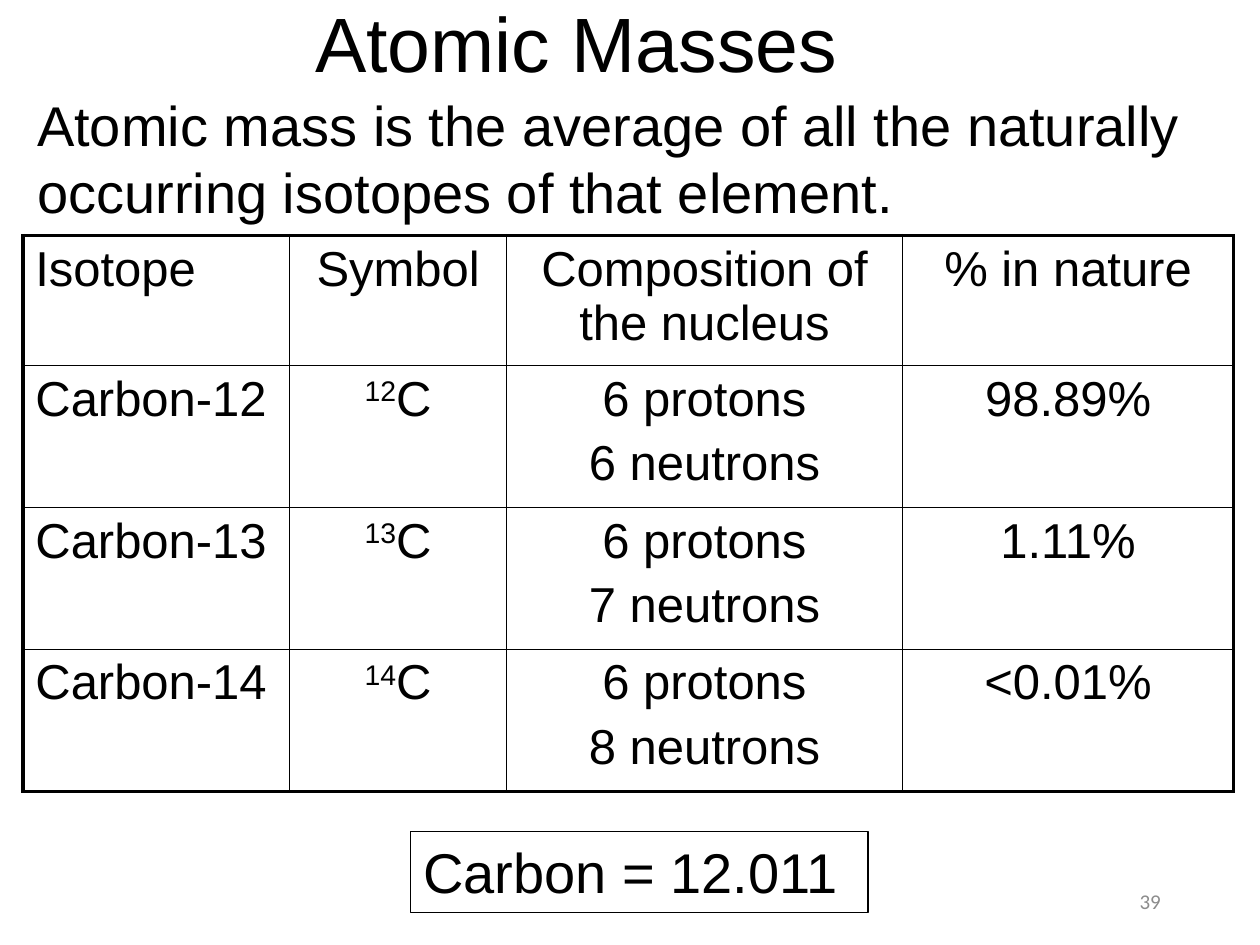
from lxml.etree import SubElement
from pptx import Presentation
from pptx.dml.color import RGBColor
from pptx.enum.shapes import MSO_SHAPE
from pptx.enum.text import MSO_ANCHOR, PP_ALIGN
from pptx.oxml.ns import qn
from pptx.util import Cm, Pt

COLORS = {"ink": "000000", "page_number": "8C8C8C"}
COLUMN_WIDTHS = [5.38, 4.37, 7.98, 6.68]
ROW_HEIGHTS = [2.62, 2.86, 2.86, 2.86]
HEADINGS = ["Isotope", "Symbol", "Composition of the nucleus", "% in nature"]
ISOTOPES = [(12, 6, "98.89%"), (13, 7, "1.11%"), (14, 8, "<0.01%")]


def apply_format(target, values):
    """Set every attribute named in values on target."""
    for name, value in values.items():
        setattr(target, name, value)


def write_paragraph(paragraph, text, size, mass_number="", color="ink", font="Arial", **layout):
    """Write text, led by an optional raised mass number, into a paragraph."""
    apply_format(paragraph, layout)
    for part, raised in ((mass_number, True), (text, False)):
        if part:
            run = paragraph.add_run()
            run.text = part
            apply_format(run.font, {"size": Pt(size), "name": font})
            run.font.color.rgb = RGBColor.from_string(COLORS[color])
            if raised:
                run.font._element.set("baseline", "30000")


def place_title(slide, left, top, width, height):
    """Move and format the title placeholder."""
    title = slide.shapes.title
    apply_format(title, {"left": Cm(left), "top": Cm(top), "width": Cm(width), "height": Cm(height)})
    apply_format(title.text_frame, {"word_wrap": True, "vertical_anchor": MSO_ANCHOR.MIDDLE})
    write_paragraph(title.text_frame.paragraphs[0], "Atomic Masses", 44,
                    alignment=PP_ALIGN.LEFT, line_spacing=0.9)


def place_text(slide, left, top, width, height, text, size, anchor=MSO_ANCHOR.TOP, **layout):
    """Add a wrapping text box."""
    frame = slide.shapes.add_textbox(Cm(left), Cm(top), Cm(width), Cm(height)).text_frame
    apply_format(frame, {"word_wrap": True, "vertical_anchor": anchor})
    write_paragraph(frame.paragraphs[0], text, size, **layout)


def draw_borders(cell, outer_sides):
    """Rule all four sides of a cell, heavier on the outer ones."""
    cell.fill.background()
    properties = cell._tc.get_or_add_tcPr()
    for index, side in enumerate("LRTB"):
        width = Pt(2.25 if side in outer_sides else 1)
        line = SubElement(properties, qn(f"a:ln{side}"), w=str(width))
        fill = SubElement(line, qn("a:solidFill"))
        SubElement(fill, qn("a:srgbClr"), val=COLORS["ink"])
        properties.insert(index, line)


def place_isotope_table(slide, left, top):
    """Add the table of carbon isotopes."""
    rows = [[[("", heading)] for heading in HEADINGS]]
    for mass, neutrons, share in ISOTOPES:
        rows.append([[("", f"Carbon-{mass}")], [(str(mass), "C")],
                     [("", "6 protons"), ("", f"{neutrons} neutrons")], [("", share)]])
    table = slide.shapes.add_table(len(rows), len(HEADINGS), Cm(left), Cm(top),
                                   Cm(sum(COLUMN_WIDTHS)), Cm(sum(ROW_HEIGHTS))).table
    apply_format(table, {"first_row": False, "horz_banding": False})
    for column, width in zip(table.columns, COLUMN_WIDTHS):
        column.width = Cm(width)
    for row, height in zip(table.rows, ROW_HEIGHTS):
        row.height = Cm(height)
    last_row, last_column = len(rows) - 1, len(HEADINGS) - 1
    for r, row in enumerate(rows):
        for c, lines in enumerate(row):
            cell = table.cell(r, c)
            frame = cell.text_frame
            for index, (mass_number, text) in enumerate(lines):
                paragraph = frame.add_paragraph() if index else frame.paragraphs[0]
                write_paragraph(paragraph, text, 28, mass_number, space_before=Pt(5.6),
                                alignment=PP_ALIGN.CENTER if c else PP_ALIGN.LEFT)
            edges = {"L": c == 0, "R": c == last_column, "T": r == 0, "B": r == last_row}
            draw_borders(cell, [side for side, outer in edges.items() if outer])


def place_result(slide, left, top, width, height):
    """Add the outlined box with the average mass of carbon."""
    result = slide.shapes.add_shape(MSO_SHAPE.RECTANGLE, Cm(left), Cm(top), Cm(width), Cm(height))
    result.shadow.inherit = False
    result.fill.background()
    result.line.color.rgb = RGBColor.from_string(COLORS["ink"])
    result.line.width = Pt(0.75)
    apply_format(result.text_frame, {"word_wrap": True, "vertical_anchor": MSO_ANCHOR.TOP})
    write_paragraph(result.text_frame.paragraphs[0], "Carbon = 12.011", 32, alignment=PP_ALIGN.LEFT)


def main():
    """Build the atomic masses slide."""
    deck = Presentation()
    apply_format(deck, {"slide_width": Cm(25.4), "slide_height": Cm(19.05)})
    slide = deck.slides.add_slide(deck.slide_layouts[5])
    place_title(slide, 6.1, 0, 13.67, 1.9)
    place_isotope_table(slide, 0.46, 4.75)
    place_text(slide, 0.5, 1.7, 24.33, 2.97,
               "Atomic mass is the average of all the naturally occurring isotopes of that element.", 32)
    place_result(slide, 8.28, 16.76, 9.22, 1.63)
    place_text(slide, 17.93, 17.65, 5.72, 1.02, "39", 12, MSO_ANCHOR.MIDDLE,
               color="page_number", font="Calibri", alignment=PP_ALIGN.RIGHT)
    deck.save("out.pptx")


if __name__ == "__main__":
    main()
